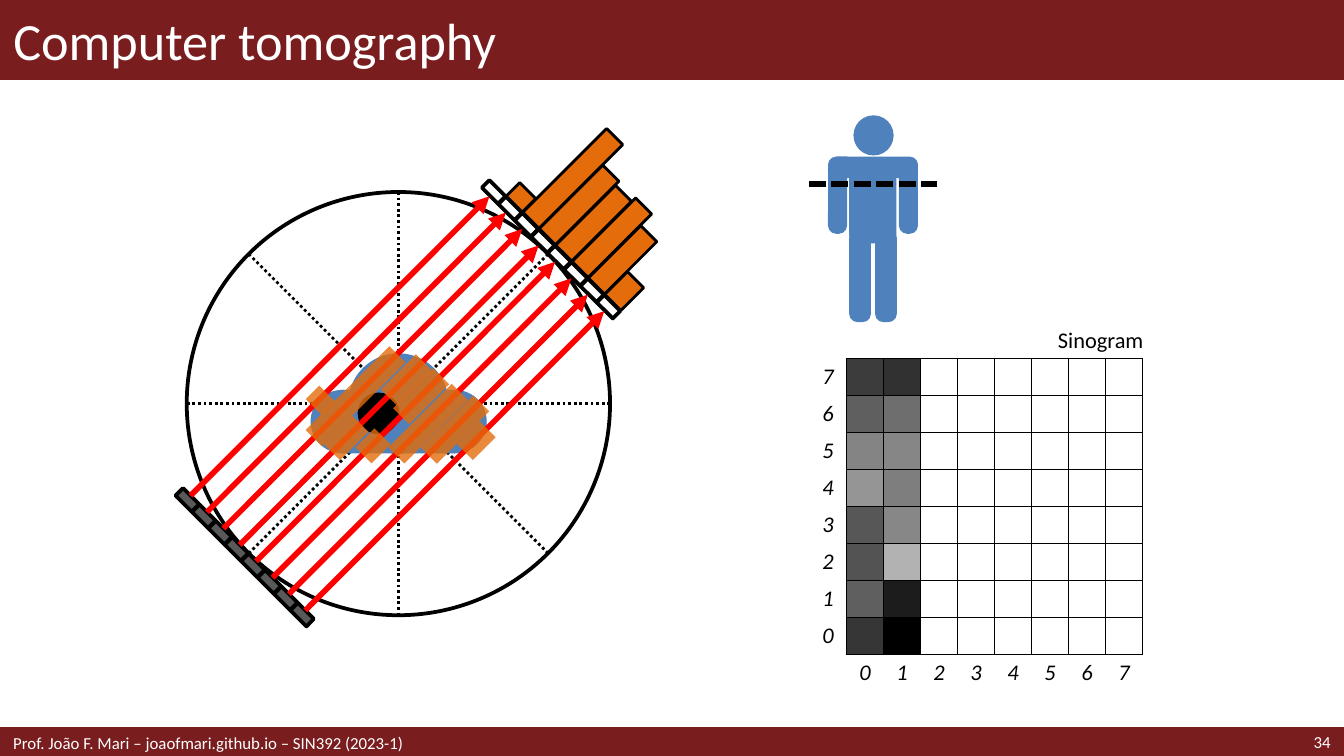
from dataclasses import dataclass

from lxml.etree import SubElement
from pptx import Presentation
from pptx.dml.color import RGBColor
from pptx.enum.dml import MSO_LINE
from pptx.enum.shapes import MSO_CONNECTOR, MSO_SHAPE
from pptx.enum.text import MSO_ANCHOR, MSO_AUTO_SIZE, PP_ALIGN
from pptx.oxml.ns import qn
from pptx.util import Cm, Pt


@dataclass(frozen=True)
class Theme:
    font: str = "Calibri"
    title_size: float = 28
    label_size: float = 12
    footer_size: float = 9
    band: str = "791D1F"
    white: str = "FFFFFF"
    black: str = "000000"
    body: str = "4F81BD"
    emitter: str = "595959"
    ray: str = "FF0000"
    profile: str = "E46C0A"


class SlideBuilder:
    def __init__(self, slide, theme):
        self.slide = slide
        self.theme = theme

    def add_words(self, frame, words, size, color, align=PP_ALIGN.LEFT, italic=False):
        paragraph = frame.paragraphs[0]
        paragraph.alignment = align
        run = paragraph.add_run()
        run.text = words
        run.font.name = self.theme.font
        run.font.size = Pt(size)
        run.font.italic = italic
        run.font.color.rgb = RGBColor.from_string(color)

    def title(self, words, height):
        title = self.slide.shapes.title
        title.left, title.top, title.width, title.height = Cm(0), Cm(0), Cm(25.4), Cm(height)
        frame = title.text_frame
        frame.auto_size = MSO_AUTO_SIZE.NONE
        frame.vertical_anchor = MSO_ANCHOR.MIDDLE
        self.add_words(frame, words, self.theme.title_size, self.theme.white)
        return title

    def label(self, words, left, top, width, height, size, color, align=PP_ALIGN.LEFT, right_inset=0.25):
        frame = self.slide.shapes.add_textbox(Cm(left), Cm(top), Cm(width), Cm(height)).text_frame
        frame.word_wrap = True
        frame.vertical_anchor = MSO_ANCHOR.MIDDLE
        frame.margin_top = frame.margin_bottom = 0
        frame.margin_right = Cm(right_inset)
        self.add_words(frame, words, size, color, align)

    def shape(self, kind, left, top, width, height, fill=None, line=None, weight=2, corner=None):
        shape = self.slide.shapes.add_shape(kind, Cm(left), Cm(top), Cm(width), Cm(height))
        shape.shadow.inherit = False
        if corner is not None:
            shape.adjustments[0] = corner
        if fill:
            shape.fill.solid()
            shape.fill.fore_color.rgb = RGBColor.from_string(fill)
        else:
            shape.fill.background()
        if line:
            shape.line.color.rgb = RGBColor.from_string(line)
            shape.line.width = Pt(weight)
        else:
            shape.line.fill.background()
        return shape

    def strip(self, center_x, center_y, length, fill=None, line=None, weight=2, opacity=None):
        """A narrow block turned so that its length follows the rays."""
        width = 0.43
        strip = self.shape(MSO_SHAPE.RECTANGLE, center_x - width / 2, center_y - length / 2,
                           width, length, fill, line, weight)
        strip.rotation = 45
        if opacity:
            color = strip.element.find(".//" + qn("a:srgbClr"))
            SubElement(color, qn("a:alpha"), val=str(opacity * 1000))

    def line(self, x1, y1, x2, y2, color, weight, dash=None, arrow=False):
        line = self.slide.shapes.add_connector(MSO_CONNECTOR.STRAIGHT, Cm(x1), Cm(y1), Cm(x2), Cm(y2))
        line.line.color.rgb = RGBColor.from_string(color)
        line.line.width = Pt(weight)
        if dash:
            line.line.dash_style = dash
        if arrow:
            outline = line.element.spPr.find(qn("a:ln"))
            SubElement(outline, qn("a:tailEnd"), type="triangle")
        SubElement(line.element.spPr, qn("a:effectLst"))

    def cell(self, cell, words="", fill=None, sides=""):
        cell.margin_left = cell.margin_right = cell.margin_top = cell.margin_bottom = 0
        cell.vertical_anchor = MSO_ANCHOR.MIDDLE
        properties = cell._tc.get_or_add_tcPr()
        for side in "LRTB":
            border = SubElement(properties, qn("a:ln" + side), w=str(Pt(1)))
            if side in sides:
                solid = SubElement(border, qn("a:solidFill"))
                SubElement(solid, qn("a:srgbClr"), val=self.theme.black)
            else:
                SubElement(border, qn("a:noFill"))
        if fill:
            cell.fill.solid()
            cell.fill.fore_color.rgb = RGBColor.from_string(fill)
        else:
            cell.fill.background()
        if words:
            self.add_words(cell.text_frame, words, self.theme.label_size, self.theme.black,
                           PP_ALIGN.CENTER, italic=True)
        else:
            # Keep empty rows from growing
            SubElement(cell.text_frame.paragraphs[0]._p, qn("a:endParaRPr"),
                       sz=str(self.theme.label_size * 100))

    def sinogram(self, left, top, pitch, columns):
        count = len(columns[0])
        side = Cm(pitch * (count + 1))
        table = self.slide.shapes.add_table(count + 1, count + 1, Cm(left), Cm(top), side, side).table
        table.first_row = table.horz_banding = False
        for row in table.rows:
            row.height = Cm(pitch)
        for column in table.columns:
            column.width = Cm(pitch)
        for i in range(count):
            self.cell(table.cell(i, 0), str(count - 1 - i), sides="R")
            self.cell(table.cell(count, i + 1), str(i), sides="T")
            for j in range(count):
                fill = columns[j][i] if j < len(columns) else None
                self.cell(table.cell(i, j + 1), fill=fill, sides="LRTB")
        self.cell(table.cell(count, 0))


def main():
    theme = Theme()
    deck = Presentation()
    deck.slide_width, deck.slide_height = Cm(25.4), Cm(14.29)
    page = SlideBuilder(deck.slides.add_slide(deck.slide_layouts[5]), theme)
    rect, oval, rounded = MSO_SHAPE.RECTANGLE, MSO_SHAPE.OVAL, MSO_SHAPE.ROUNDED_RECTANGLE

    # Header and footer
    title = page.title("Computer tomography", 1.5)
    header = page.shape(rect, 0, 0, 25.4, 1.5, theme.band, theme.band, 1)
    title.element.addprevious(header.element)
    page.shape(rect, 0, 13.77, 25.4, 0.52, theme.band, theme.band)
    page.label("34", 22.5, 13.75, 2.9, 0.53, theme.footer_size, theme.white, PP_ALIGN.RIGHT)
    page.label("Prof. João F. Mari – joaofmari.github.io – SIN392 (2023-1)",
               0, 13.77, 17.5, 0.53, theme.footer_size, theme.white)

    # Gantry ring with its diameters
    x, y, radius, diagonal = 7.53, 7.63, 4, 2.83
    page.shape(oval, x - radius, y - radius, 2 * radius, 2 * radius, line=theme.black)
    for dx, dy in ((diagonal, -diagonal), (0, radius), (radius, 0), (diagonal, diagonal)):
        page.line(x - dx, y - dy, x + dx, y + dy, theme.black, 1.5, MSO_LINE.ROUND_DOT)

    # Body cross-section with its dark spot
    for kind, left, top, width, height, fill in (
            (oval, 6.58, 6.68, 1.9, 1.9, theme.body), (oval, 8, 7.37, 1.2, 1.2, theme.body),
            (rect, 6.45, 7.37, 2.15, 1.2, theme.body), (oval, 5.87, 7.37, 1.2, 1.2, theme.body),
            (oval, 6.76, 7.42, 0.79, 0.79, theme.black)):
        page.shape(kind, left, top, width, height, fill)

    # Standing person with the scan plane
    for left, top, width, height, corner in (
            (15.65, 2.97, 0.36, 1.45, 0.43), (16.99, 2.97, 0.36, 1.45, 0.43),
            (15.65, 2.96, 1.7, 0.41, 0.39), (16.05, 2.97, 0.89, 1.63, 0.17),
            (16.05, 4.34, 0.41, 1.75, 0.38), (16.54, 4.34, 0.41, 1.75, 0.38)):
        page.shape(rounded, left, top, width, height, theme.body, corner=corner)
    page.shape(oval, 16.13, 2.18, 0.76, 0.76, theme.body)
    page.line(15.29, 3.48, 17.7, 3.48, theme.black, 3, MSO_LINE.SQUARE_DOT)

    # Detectors, emitters and rays share one step
    offsets = [0.31 * i for i in range(8)]
    for d in offsets:
        page.strip(9.33 + d, 3.63 + d, 0.2, line=theme.black)
    for d in offsets:
        page.strip(3.54 + d, 9.45 + d, 0.2, theme.emitter, theme.black)
    for d in offsets:
        page.line(3.6 + d, 9.37 + d, 9.25 + d, 3.71 + d, theme.ray, 3, arrow=True)

    # Absorption profile rising from the detectors
    for d, length in zip(offsets, (0.36, 2.24, 1.7, 1.6, 1.7, 1.4, 0.61)):
        rise = length / 2 * 0.71
        page.strip(9.72 + d + rise, 3.86 + d - rise, length, theme.profile, theme.black, 1.5)

    # Absorbing stretches inside the body
    for center_x, center_y, length in (
            (6.72, 7.49, 2.24), (6.06, 7.57, 0.36), (6.54, 8.28, 0.76),
            (7.05, 8.43, 0.51), (8.09, 8.01, 1.7), (8.6, 8.12, 1.4),
            (9, 8.33, 0.61), (7.68, 7.18, 0.94), (7.96, 7.49, 1.07)):
        page.strip(center_x, center_y, length, theme.profile, opacity=80)

    # Sinogram: first two projections, top to bottom
    page.sinogram(15.3, 6.78, 0.7, (
        ("3C3C3C", "5F5F5F", "848484", "959595", "575757", "535353", "5F5F5F", "363636"),
        ("313131", "6E6E6E", "868686", "7E7E7E", "878787", "B2B2B2", "1C1C1C", "000000")))
    page.label("Sinogram", 16.41, 6.15, 5.2, 0.53, theme.label_size, theme.black,
               PP_ALIGN.RIGHT, right_inset=0)

    deck.save("out.pptx")


if __name__ == "__main__":
    main()
